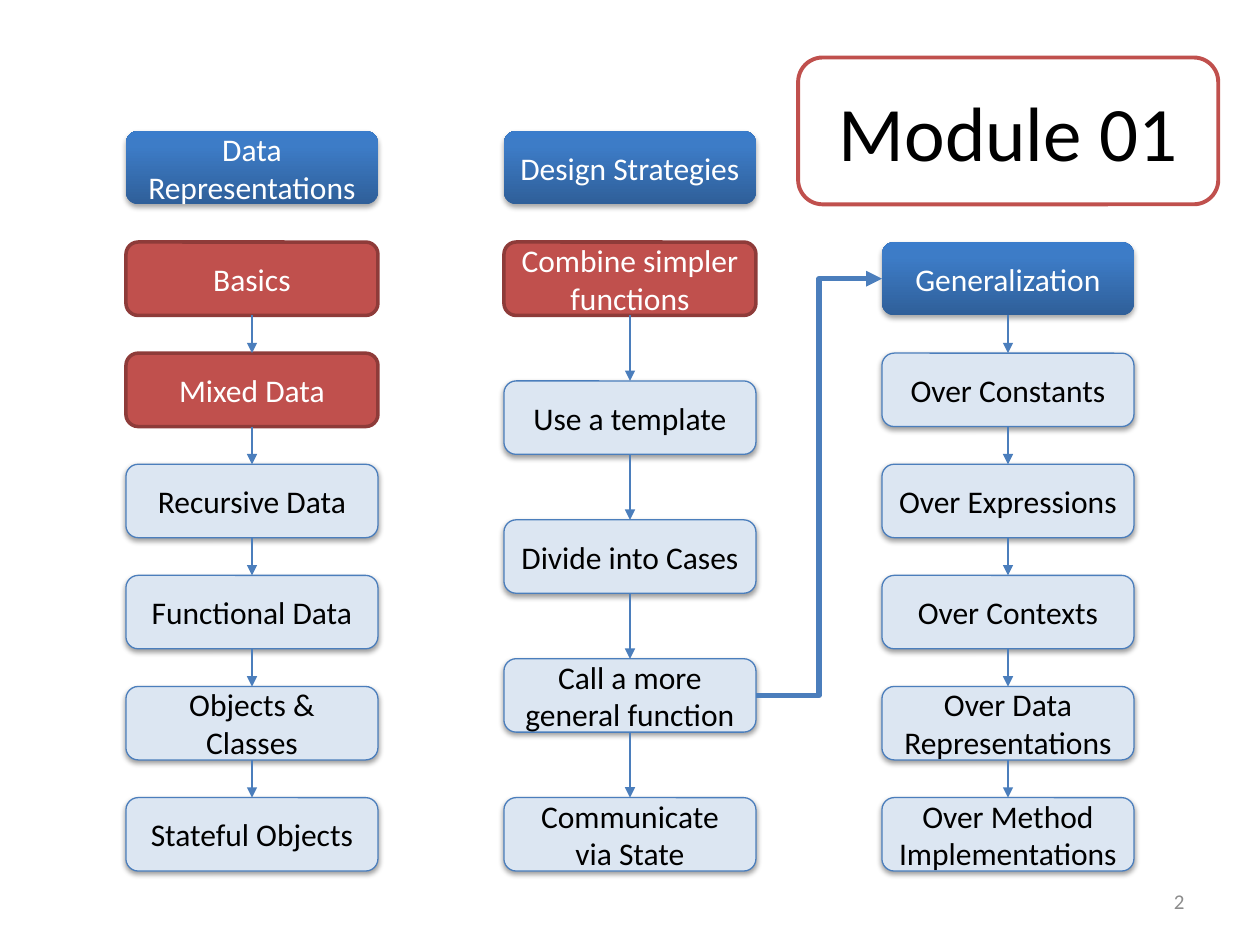
from dataclasses import dataclass

from lxml import etree
from pptx import Presentation
from pptx.dml.color import RGBColor
from pptx.enum.shapes import MSO_CONNECTOR, MSO_SHAPE
from pptx.enum.text import MSO_ANCHOR, PP_ALIGN
from pptx.oxml.ns import qn
from pptx.util import Cm, Pt

ROUNDED = MSO_SHAPE.ROUNDED_RECTANGLE
STRAIGHT, ELBOW = MSO_CONNECTOR.STRAIGHT, MSO_CONNECTOR.ELBOW
MIDDLE = MSO_ANCHOR.MIDDLE
CENTER, RIGHT = PP_ALIGN.CENTER, PP_ALIGN.RIGHT

WHITE = RGBColor(0xFF, 0xFF, 0xFF)
BLACK = RGBColor(0x00, 0x00, 0x00)
GRAY = RGBColor(0x8C, 0x8C, 0x8C)
BLUE = RGBColor(0x4B, 0x7E, 0xBC)
PALE = RGBColor(0xDC, 0xE6, 0xF2)
RED = RGBColor(0xC0, 0x50, 0x4D)
DARK_RED = RGBColor(0x8E, 0x3B, 0x39)
HEADER_STOPS = (
    (0, RGBColor(0x2F, 0x5F, 0x99)),
    (80, RGBColor(0x3D, 0x7C, 0xC7)),
    (100, RGBColor(0x3A, 0x7C, 0xCB)),
)

# Lengths in centimetres
BOX_W, BOX_H = 5.08, 1.48
HEADER_TOP = 2.64
ROW_STEP = 2.24
STRATEGY_STEP = 2.8
TOP_SITE, LEFT_SITE, BOTTOM_SITE, RIGHT_SITE = range(4)


@dataclass(frozen=True)
class Column:
    title: str
    left: float
    header_top: float
    step: float
    topics: tuple[str, ...]
    current: int = 0  # leading topics covered by this module
    header_linked: bool = False


COLUMNS = (
    Column("Data Representations", 2.54, HEADER_TOP, ROW_STEP,
           ("Basics", "Mixed Data", "Recursive Data", "Functional Data",
            "Objects & Classes", "Stateful Objects"), current=2),
    Column("Design Strategies", 10.16, HEADER_TOP, STRATEGY_STEP,
           ("Combine simpler functions", "Use a template", "Divide into Cases",
            "Call a more general function", "Communicate via State"), current=1),
    Column("Generalization", 17.78, HEADER_TOP + ROW_STEP, ROW_STEP,
           ("Over Constants", "Over Expressions", "Over Contexts",
            "Over Data Representations", "Over Method Implementations"),
           header_linked=True),
)


def write(sp, text: str, *, size: float = 18, color: RGBColor = BLACK,
          align=CENTER) -> None:
    tf = sp.text_frame
    tf.word_wrap = True
    tf.vertical_anchor = MIDDLE
    p = tf.paragraphs[0]
    p.alignment = align
    r = p.add_run()
    r.text = text
    r.font.name = "Calibri"
    r.font.size = Pt(size)
    r.font.color.rgb = color


def add_color(parent, color: RGBColor):
    return etree.SubElement(parent, qn("a:srgbClr"), val=str(color))


def add_shadow(sp, dist: float, opacity: int) -> None:
    effects = sp._element.spPr.find(qn("a:effectLst"))
    shadow = etree.SubElement(
        effects, qn("a:outerShdw"), blurRad=str(Pt(3.1)), dist=str(Pt(dist)),
        dir="5400000", rotWithShape="0")
    etree.SubElement(add_color(shadow, BLACK), qn("a:alpha"),
                     val=str(opacity * 1000))


def fill_header(sp) -> None:
    sp.fill.gradient()
    sp.fill.gradient_angle = 90
    stops = sp._element.spPr.find(qn("a:gradFill")).find(qn("a:gsLst"))
    for old in list(stops):
        stops.remove(old)
    for pos, color in HEADER_STOPS:
        add_color(etree.SubElement(stops, qn("a:gs"), pos=str(pos * 1000)), color)


def add_rounded(s, left: float, top: float, width: float = BOX_W,
                height: float = BOX_H, *, fill: RGBColor | None = None,
                line: RGBColor | None = None, weight: float = 0.75):
    sp = s.shapes.add_shape(ROUNDED, Cm(left), Cm(top), Cm(width), Cm(height))
    sp.shadow.inherit = False
    if fill is None:
        sp.fill.background()
    else:
        sp.fill.solid()
        sp.fill.fore_color.rgb = fill
    if line is None:
        sp.line.fill.background()
    else:
        sp.line.color.rgb = line
        sp.line.width = Pt(weight)
    return sp


def add_header(s, col: Column):
    sp = add_rounded(s, col.left, col.header_top)
    fill_header(sp)
    add_shadow(sp, 1.8, 35)
    write(sp, col.title, color=WHITE)
    return sp


def add_topic(s, text: str, left: float, top: float, current: bool):
    if current:
        sp = add_rounded(s, left, top, fill=RED, line=DARK_RED, weight=2)
    else:
        sp = add_rounded(s, left, top, fill=PALE, line=BLUE)
        add_shadow(sp, 1.6, 38)
    write(sp, text, color=WHITE if current else BLACK)
    return sp


def add_arrow(s, start, end, *, kind=STRAIGHT, from_site: int = BOTTOM_SITE,
              to_site: int = TOP_SITE, weight: float = 0.75) -> None:
    cxn = s.shapes.add_connector(kind, 0, 0, 0, 0)
    cxn.begin_connect(start, from_site)
    cxn.end_connect(end, to_site)
    cxn.line.color.rgb = BLUE
    cxn.line.width = Pt(weight)
    etree.SubElement(cxn.line._get_or_add_ln(), qn("a:tailEnd"), type="triangle")
    etree.SubElement(cxn._element.spPr, qn("a:effectLst"))


def add_column(s, col: Column) -> list:
    """Draw a column and return its boxes, header first."""
    header = add_header(s, col)
    first_top = col.header_top + ROW_STEP
    topics = [add_topic(s, text, col.left, first_top + i * col.step, i < col.current)
              for i, text in enumerate(col.topics)]
    boxes = [header, *topics]
    chain = boxes if col.header_linked else topics
    for start, end in zip(chain, chain[1:]):
        add_arrow(s, start, end)
    return boxes


def main() -> None:
    prs = Presentation()
    prs.slide_width, prs.slide_height = Cm(25.4), Cm(19.05)
    s = prs.slides.add_slide(prs.slide_layouts[6])

    # Course map
    _, strategies, generalization = [add_column(s, col) for col in COLUMNS]

    # Link from "Call a more general function" to "Generalization"
    add_arrow(s, strategies[4], generalization[0], kind=ELBOW,
              from_site=RIGHT_SITE, to_site=LEFT_SITE, weight=3)

    # Module title
    title = add_rounded(s, 16.09, 1.16, 8.47, 2.96, line=RED, weight=2.25)
    write(title, "Module 01", size=44)

    # Slide number
    number = s.shapes.add_textbox(Cm(18.2), Cm(17.66), Cm(5.93), Cm(1.01))
    write(number, "2", size=12, color=GRAY, align=RIGHT)

    prs.save("out.pptx")


if __name__ == "__main__":
    main()
